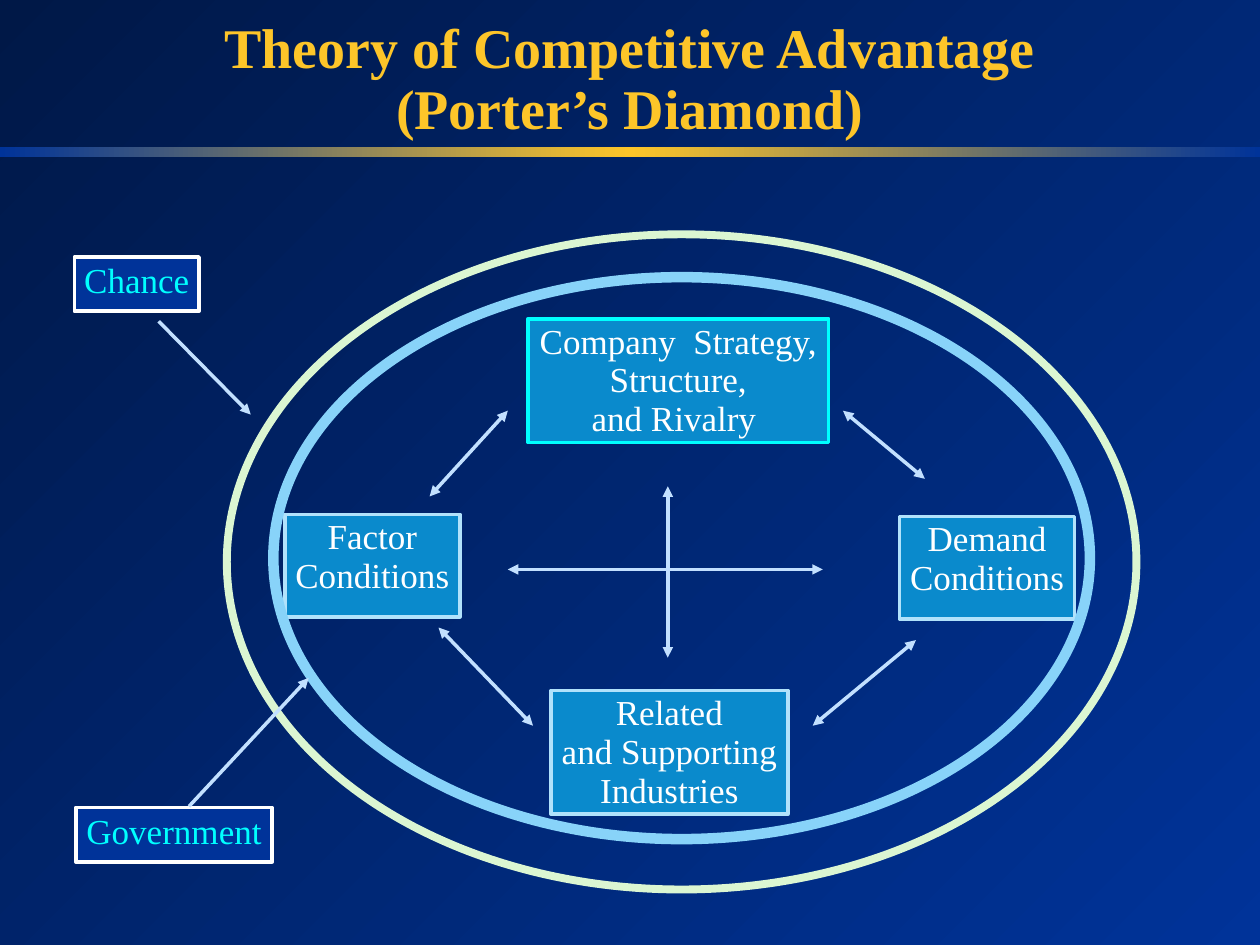
from copy import deepcopy
from dataclasses import dataclass

from lxml import etree
from pptx import Presentation
from pptx.dml.color import RGBColor
from pptx.enum.shapes import MSO_CONNECTOR, MSO_SHAPE
from pptx.enum.text import MSO_ANCHOR, MSO_AUTO_SIZE, PP_ALIGN
from pptx.oxml.ns import qn
from pptx.util import Pt

RECT, OVAL = MSO_SHAPE.RECTANGLE, MSO_SHAPE.OVAL
STRAIGHT = MSO_CONNECTOR.STRAIGHT
CENTER = PP_ALIGN.CENTER
TOP, MIDDLE = MSO_ANCHOR.TOP, MSO_ANCHOR.MIDDLE
FIXED = MSO_AUTO_SIZE.NONE
TITLE_ONLY = 5


@dataclass(frozen=True)
class Theme:
    font: str = "Times New Roman"
    head: int = 32
    body: int = 20
    thin: int = 2
    night: str = "001847"
    navy: str = "003399"
    gold: str = "FDC529"
    white: str = "FFFFFF"
    cyan: str = "00FFFF"
    blue: str = "0A8ACC"
    pale: str = "B1E2FB"
    arrow: str = "C2E0FF"
    mint: str = "DBF6D2"
    sky: str = "88D3F9"


def rgb(code):
    return RGBColor.from_string(code)


class Board:
    def __init__(self, theme, slide):
        self.theme = theme
        self.slide = slide
        self.shapes = slide.shapes

    def blend(self, fill, owner, codes, angle):
        """Fill with evenly spaced colour stops; angle runs anticlockwise."""
        fill.gradient()
        fill.gradient_angle = angle
        stops = next(owner.iter(qn("a:gsLst")))
        while len(stops) < len(codes):
            stops.append(deepcopy(stops[0]))
        for i, (stop, code) in enumerate(zip(fill.gradient_stops, codes)):
            stop.color.rgb = rgb(code)
            stop.position = i / (len(codes) - 1)

    def ground(self, codes, angle):
        fill = self.slide.background.fill
        self.blend(fill, self.slide.element, codes, angle)

    def shape(self, kind, area):
        item = self.shapes.add_shape(kind, *map(Pt, area))
        item.shadow.inherit = False
        return item

    def bar(self, area, codes):
        item = self.shape(RECT, area)
        self.blend(item.fill, item.element, codes, 0)
        item.line.fill.background()

    def edge(self, item, code, width):
        item.line.color.rgb = rgb(code)
        item.line.width = Pt(width)

    def ring(self, area, code, width):
        item = self.shape(OVAL, area)
        item.fill.background()
        self.edge(item, code, width)

    def frame(self, item, anchor, wrap):
        frame = item.text_frame
        frame.auto_size = FIXED
        frame.word_wrap = wrap
        frame.vertical_anchor = anchor
        frame.margin_left = frame.margin_right = Pt(5)
        frame.margin_top = frame.margin_bottom = Pt(2.5)
        return frame

    def run(self, para, text, size, code, bold=False):
        font_run = para.add_run()
        font_run.text = text
        font = font_run.font
        font.name, font.size, font.bold = self.theme.font, Pt(size), bold
        font.color.rgb = rgb(code)

    def title(self, area, lines):
        item = self.shapes.title
        item.left, item.top, item.width, item.height = map(Pt, area)
        para = self.frame(item, MIDDLE, True).paragraphs[0]
        para.alignment = CENTER
        para.line_spacing = 0.9
        for i, text in enumerate(lines):
            if i:
                para.add_line_break()
            self.run(para, text, self.theme.head, self.theme.gold, True)

    def box(self, area, lines, fill, edge, ink, space):
        item = self.shape(RECT, area)
        item.fill.solid()
        item.fill.fore_color.rgb = rgb(fill)
        self.edge(item, edge, self.theme.thin)
        frame = self.frame(item, TOP, False)
        for i, text in enumerate(lines):
            para = frame.add_paragraph() if i else frame.paragraphs[0]
            para.alignment = CENTER
            para.line_spacing = space
            self.run(para, text, self.theme.body, ink)

    def force(self, area, lines, edge):
        """Box for one corner of the diamond."""
        self.box(area, lines, self.theme.blue, edge, self.theme.white, 0.92)

    def factor(self, area, text):
        """Box for an influence from outside the diamond."""
        look = self.theme
        self.box(area, [text], look.navy, look.white, look.cyan, 0.97)

    def arrow(self, ends, both=True):
        item = self.shapes.add_connector(STRAIGHT, *map(Pt, ends))
        self.edge(item, self.theme.arrow, self.theme.thin)
        props = item.element.spPr
        line = props.find(qn("a:ln"))
        for tag in ["a:headEnd", "a:tailEnd"] if both else ["a:tailEnd"]:
            etree.SubElement(line, qn(tag), type="triangle")
        etree.SubElement(props, qn("a:effectLst"))


def main():
    deck = Presentation()
    deck.slide_width, deck.slide_height = Pt(720), Pt(540)
    look = Theme()
    board = Board(look, deck.slides.add_slide(deck.slide_layouts[TITLE_ONLY]))

    board.ground([look.night, look.navy], 315)
    board.bar((0, 84, 720, 6), [look.navy, look.gold, look.navy])
    board.title((0, 9.5, 720, 73.5),
                ["Theory of Competitive Advantage", "(Porter’s Diamond)"])

    board.ring((129.6, 133.9, 519.8, 374.4), look.mint, 4.5)
    board.force((301.6, 182.2, 172, 70.6),
                ["Company  Strategy,", "Structure,", "and Rivalry "], look.cyan)
    board.force((514, 295.2, 100.1, 58.6), ["Demand", "Conditions"], look.pale)
    board.force((314.8, 394.6, 135.5, 70.6),
                ["Related", "and Supporting", "Industries"], look.pale)
    board.force((162.7, 293.9, 100.1, 58.6), ["Factor", "Conditions"], look.pale)
    board.ring((156.2, 158.4, 466.6, 321.1), look.sky, 6)

    board.factor((43.3, 461.5, 112.3, 31), "Government")
    board.factor((42.5, 146.9, 71.3, 31), "Chance")
    for ends in [(108, 460.8, 176.4, 387.4), (90.7, 183.6, 143.3, 236.9)]:
        board.arrow(ends, both=False)

    for ends in [
        (245.5, 283.7, 290.2, 234.7),
        (481.7, 234.7, 528.5, 273.6),
        (523.4, 365.8, 464.4, 414.7),
        (304.6, 414.7, 250.6, 358.6),
        (290.2, 325.4, 470.2, 325.4),
        (381.6, 277.9, 381.6, 375.8),
    ]:
        board.arrow(ends)

    deck.save("out.pptx")


if __name__ == "__main__":
    main()
